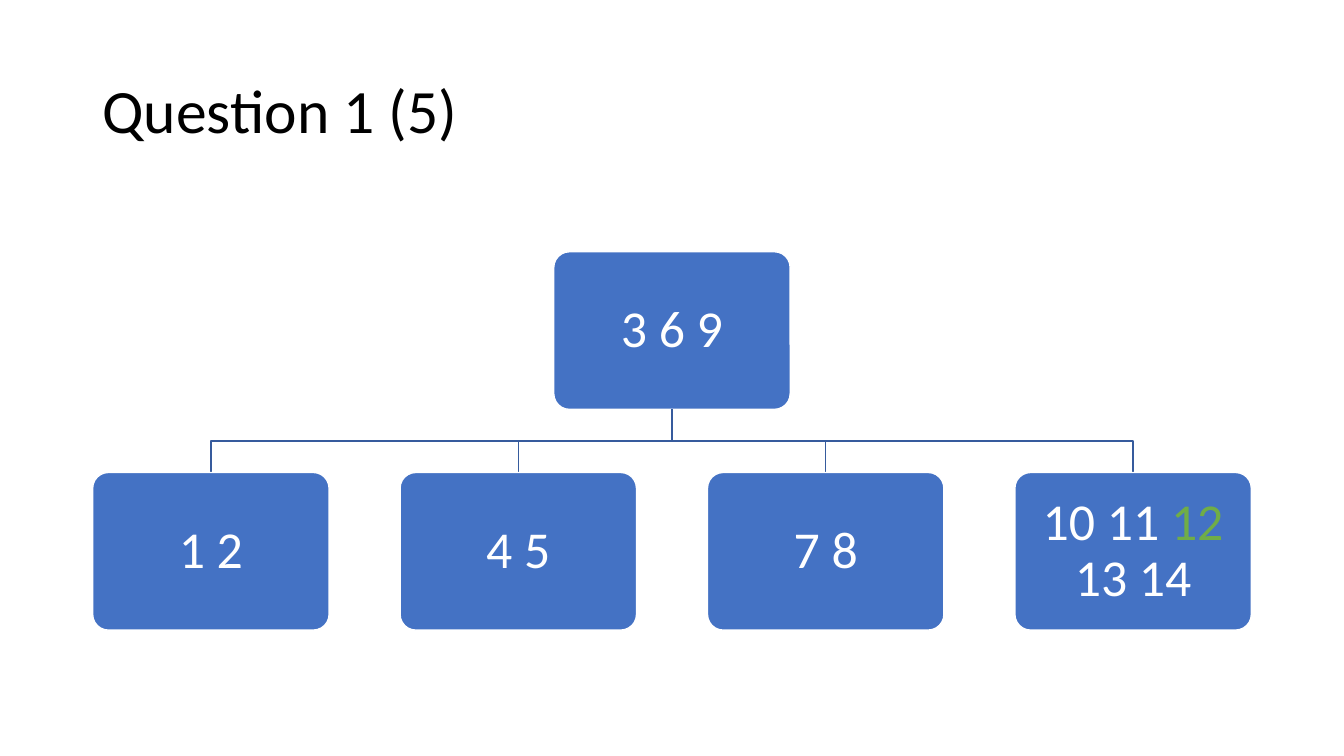
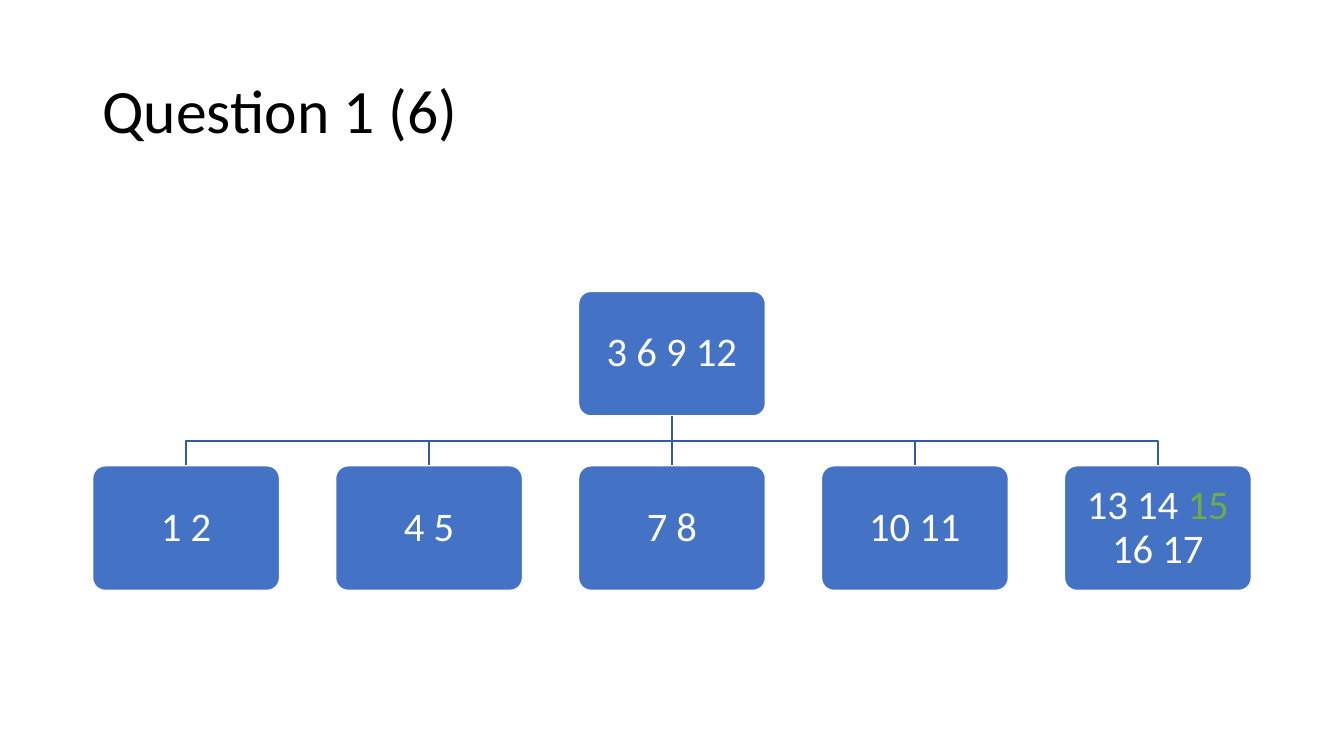
import lxml.etree
import pptx
import pptx.dml.color
import pptx.enum.shapes
import pptx.enum.text
import pptx.oxml.ns
import pptx.util

Cm = pptx.util.Cm
ALIGN = pptx.enum.text.PP_ALIGN

COLORS = {
    "title": "000000",
    "node": "4472C4",
    "edge": "365B9D",
    "text": "FFFFFF",
    "new": "70AD47",
}
FONT = "Calibri"

# Lengths in centimetres
SLIDE_W, SLIDE_H = 33.87, 19.05
CONTENT_W = 29.2
LEFT = (SLIDE_W - CONTENT_W) / 2
BUS_Y = 11.11

# Proportions of the tree: pitch and height to node width, level gap to height
PITCH, HEIGHT, LEVEL_GAP, INSET = 1.3, 2 / 3, 0.4, 0.0625

# Each child is a list of (text, colour) runs
TREES = [
    ("Question 1 (5)", 37, "3 6 9",
     [[("1 2", "text")], [("4 5", "text")], [("7 8", "text")],
      [("10 11 ", "text"), ("12", "new"), (" 13 14", "text")]]),
    ("Question 1 (6)", 29, "3 6 9 12",
     [[("1 2", "text")], [("4 5", "text")], [("7 8", "text")],
      [("10 11", "text")],
      [("13 14 ", "text"), ("15", "new"), (" 16 17", "text")]]),
]


def rgb(name):
    return pptx.dml.color.RGBColor.from_string(COLORS[name])


def write(s, runs, *, size, align=ALIGN.LEFT, inset=None):
    """Fill the shape with one vertically centred paragraph of (text, colour) runs."""
    tf = s.text_frame
    tf.word_wrap = True
    tf.vertical_anchor = pptx.enum.text.MSO_ANCHOR.MIDDLE
    if inset is not None:
        tf.margin_left = tf.margin_right = Cm(inset)
        tf.margin_top = tf.margin_bottom = Cm(inset)
    p = tf.paragraphs[0]
    p.alignment = align
    p.line_spacing = 0.9
    for text, color in runs:
        r = p.add_run()
        r.text = text
        r.font.name = FONT
        r.font.size = pptx.util.Pt(size)
        r.font.color.rgb = rgb(color)


def set_line(s, color):
    s.line.color.rgb = rgb(color)
    s.line.width = pptx.util.Pt(1)


def add_title(slide, text):
    s = slide.shapes.add_textbox(Cm(LEFT), Cm(1.01), Cm(CONTENT_W), Cm(3.68))
    write(s, [(text, "title")], size=44)


def add_edge(slide, x1, y1, x2, y2):
    """Join parent to child: straight when aligned, else bent at the bus."""
    x1, y1, x2, y2, bus = (Cm(v) for v in (x1, y1, x2, y2, BUS_Y))
    if abs(x1 - x2) < Cm(0.01):
        s = slide.shapes.add_connector(
            pptx.enum.shapes.MSO_CONNECTOR.STRAIGHT, x1, y1, x1, y2)
        lxml.etree.SubElement(s._element.spPr, pptx.oxml.ns.qn("a:effectLst"))
    else:
        outline = slide.shapes.build_freeform(x1, y1)
        outline.add_line_segments([(x1, bus), (x2, bus), (x2, y2)], close=False)
        s = outline.convert_to_shape()
        s.fill.background()
        s.shadow.inherit = False
    set_line(s, "edge")


def add_node(slide, center, top, width, runs, size):
    s = slide.shapes.add_shape(
        pptx.enum.shapes.MSO_SHAPE.ROUNDED_RECTANGLE,
        Cm(center - width / 2), Cm(top), Cm(width), Cm(width * HEIGHT))
    s.adjustments[0] = 0.1
    s.shadow.inherit = False
    s.fill.solid()
    s.fill.fore_color.rgb = rgb("node")
    set_line(s, "text")
    write(s, runs, size=size, align=ALIGN.CENTER, inset=width * INSET)


def add_tree(slide, root, children, size):
    """Draw a root over a row of children that spans the content width."""
    width = CONTENT_W / (1 + PITCH * (len(children) - 1))
    height = width * HEIGHT
    half_gap = height * LEVEL_GAP / 2
    root_bottom, child_top = BUS_Y - half_gap, BUS_Y + half_gap
    middle = SLIDE_W / 2

    add_node(slide, middle, root_bottom - height, width, [(root, "text")], size)
    for i, runs in enumerate(children):
        center = LEFT + width / 2 + i * PITCH * width
        add_edge(slide, middle, root_bottom, center, child_top)
        add_node(slide, center, child_top, width, runs, size)


def main():
    prs = pptx.Presentation()
    prs.slide_width, prs.slide_height = Cm(SLIDE_W), Cm(SLIDE_H)
    for title, size, root, children in TREES:
        slide = prs.slides.add_slide(prs.slide_layouts[6])
        add_title(slide, title)
        add_tree(slide, root, children, size)
    prs.save("out.pptx")


if __name__ == "__main__":
    main()
